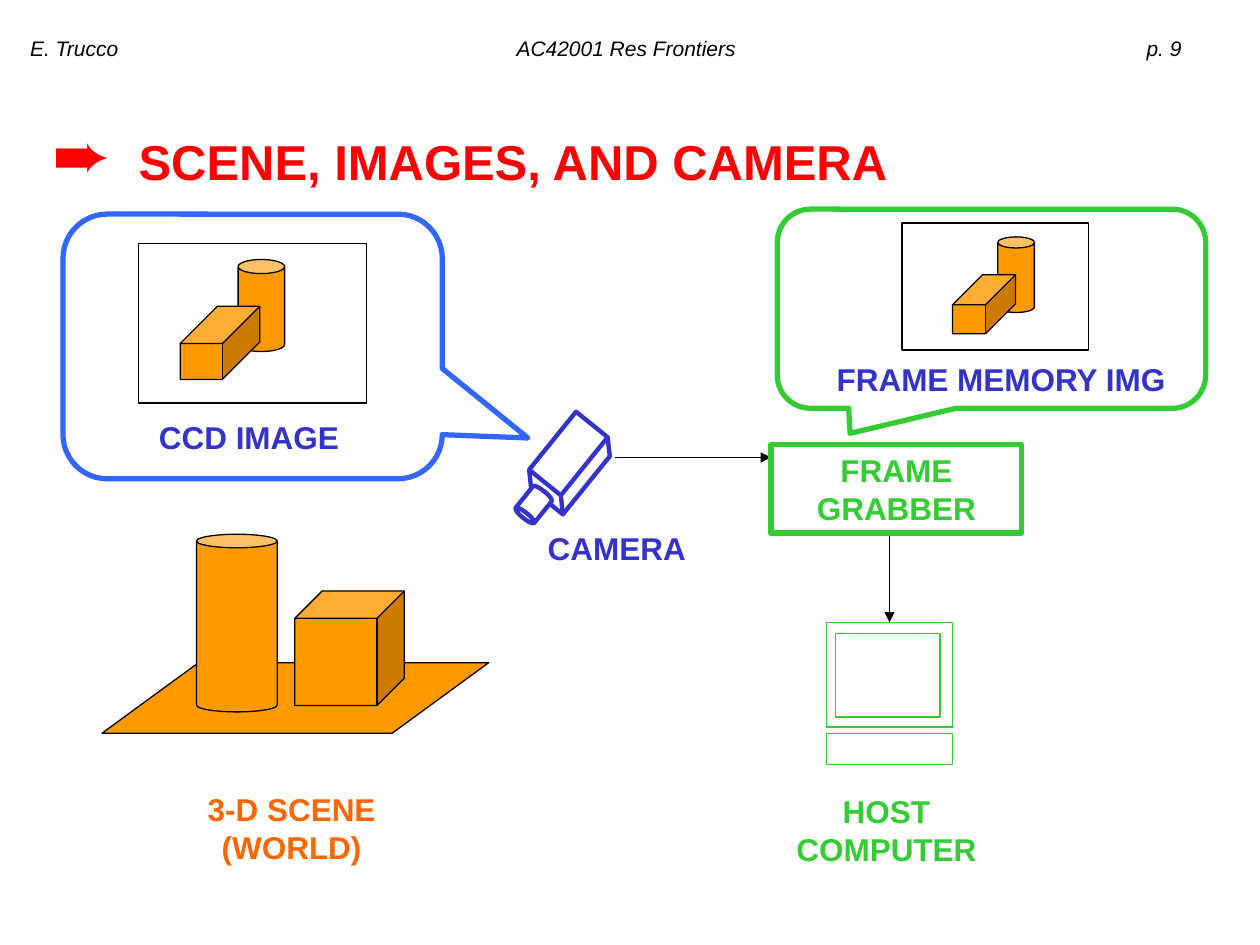
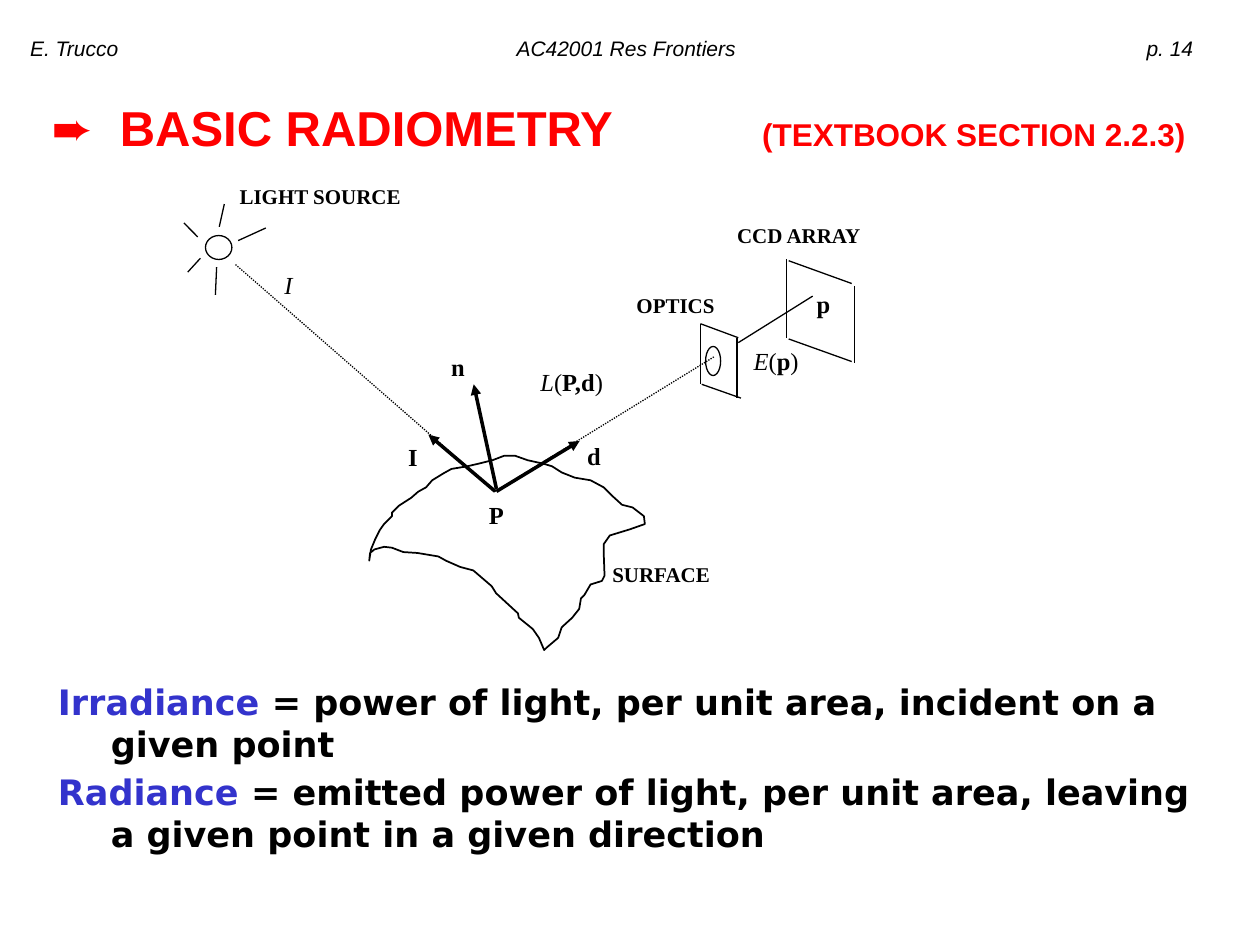
"""Build two lecture slides: the imaging pipeline and basic radiometry."""
from dataclasses import dataclass

from lxml.etree import SubElement
from pptx import Presentation
from pptx.dml.color import RGBColor
from pptx.enum.dml import MSO_LINE_DASH_STYLE as Dash
from pptx.enum.shapes import MSO_CONNECTOR as Connector, MSO_SHAPE as Shape
from pptx.enum.text import MSO_ANCHOR as Anchor, MSO_AUTO_SIZE as AutoSize, PP_ALIGN as Align
from pptx.oxml.ns import qn
from pptx.util import Pt


@dataclass(frozen=True)
class Theme:
    black: str = "000000"
    white: str = "FFFFFF"
    red: str = "FF0000"
    orange: str = "FF9900"
    dark_orange: str = "FF6600"
    green: str = "33CC33"
    blue: str = "3366FF"
    indigo: str = "3333CC"
    sans: str = "Arial"
    body_font: str = "DejaVu Sans"
    serif: str = "Times New Roman"
    title_size: float = 28
    arrow_size: float = 40
    body_size: float = 20
    label_size: float = 18
    symbol_size: float = 14
    small_size: float = 12
    line_height: float = 1.2
    hairline: float = 0.75
    thick: float = 3


theme = Theme()


def paint(shape, fill=None, line=None, width=theme.hairline):
    """Give a shape its fill and outline, and no shadow."""
    shape.shadow.inherit = False
    if fill:
        shape.fill.solid()
        shape.fill.fore_color.rgb = RGBColor.from_string(fill)
    else:
        shape.fill.background()
    if line:
        shape.line.color.rgb = RGBColor.from_string(line)
        shape.line.width = Pt(width)
    else:
        shape.line.fill.background()


def write(paragraph, texts, size, font, color, line_size=None, tabs=()):
    """Fill a paragraph with runs and set the format they share."""
    paragraph.line_spacing = Pt((line_size or size) * theme.line_height)
    paragraph.space_before = Pt(0)
    properties = paragraph._p.get_or_add_pPr()
    SubElement(properties, qn("a:buNone"))
    if tabs:
        tab_list = SubElement(properties, qn("a:tabLst"))
        for position in tabs:
            SubElement(tab_list, qn("a:tab"), pos=str(Pt(position)), algn="l")
    paragraph.font.size = Pt(size)
    paragraph.font.name = font
    paragraph.font.color.rgb = RGBColor.from_string(color)
    for text in texts:
        paragraph.add_run().text = text


presentation = Presentation()
presentation.slide_width, presentation.slide_height = Pt(720), Pt(540)
camera_slide = presentation.slides.add_slide(presentation.slide_layouts[5])
radiometry_slide = presentation.slides.add_slide(presentation.slide_layouts[1])

headings = [
    (camera_slide, 9, (30.2, 63, 612, 48), (49,),
     [("➨", theme.arrow_size), ("\tSCENE, IMAGES, AND CAMERA", theme.title_size)]),
    (radiometry_slide, 14, (29.5, 55.8, 652, 34), (39, 406),
     [("➨\tBASIC RADIOMETRY\t", theme.title_size),
      ("(TEXTBOOK SECTION 2.2.3)", theme.label_size)]),
]
for slide, page, box, tabs, runs in headings:
    header = slide.shapes.add_textbox(Pt(0), Pt(17), Pt(720), Pt(36)).text_frame
    header.word_wrap = True
    header.margin_left = Pt(17.2)
    paragraph = header.paragraphs[0]
    write(paragraph, [f"E. Trucco\tAC42001 Res Frontiers\tp. {page}"],
          theme.small_size, theme.sans, theme.black, tabs=(278, 638))
    paragraph.font.italic = True

    title = slide.shapes.title
    title.left, title.top, title.width, title.height = map(Pt, box)
    frame = title.text_frame
    frame.margin_left = frame.margin_top = frame.margin_right = frame.margin_bottom = 0
    frame.auto_size = AutoSize.NONE
    frame.vertical_anchor = Anchor.MIDDLE
    paragraph = frame.paragraphs[0]
    paragraph.alignment = Align.LEFT
    write(paragraph, [text for text, _ in runs], theme.title_size, theme.sans,
          theme.red, line_size=runs[0][1], tabs=tabs)
    paragraph.font.bold = True
    for run, (_, size) in zip(paragraph.runs, runs):
        run.font.size = Pt(size)

solids = [
    (Shape.PARALLELOGRAM, (58.3, 378.7, 221, 40.3), [1.369]),
    (Shape.CUBE, (168.5, 337.7, 62.6, 65.5), [0.25]),
    (Shape.CAN, (112.3, 305.3, 46.1, 101.5), [0.168]),
    (Shape.CAN, (136.1, 148.3, 26.6, 52.6), [0.303]),
    (Shape.CUBE, (103, 175, 45.4, 41.8), [0.51]),
    (Shape.CAN, (570.2, 135.4, 20.9, 43.2), [0.303]),
    (Shape.CUBE, (544.3, 157, 36, 33.8), [0.51]),
]
outlines = [
    (Shape.ROUNDED_RECTANGULAR_CALLOUT, (36, 122.4, 216.7, 151.2),
     [0.726, 0.346, 0.167], theme.blue, theme.thick),
    (Shape.ROUNDED_RECTANGULAR_CALLOUT, (444.2, 119.5, 244.8, 113.8),
     [-0.33, 0.626, 0.167], theme.green, theme.thick),
    (Shape.RECTANGLE, (79.2, 139, 130.3, 91.4), [], theme.black, theme.hairline),
    (Shape.RECTANGLE, (515.5, 127.4, 106.6, 72.7), [], theme.black, theme.hairline),
    (Shape.RECTANGLE, (472.3, 355.7, 72, 59.8), [], theme.green, theme.hairline),
    (Shape.RECTANGLE, (477.4, 362.2, 59.8, 47.5), [], theme.green, theme.hairline),
    (Shape.RECTANGLE, (472.3, 419, 72, 18), [], theme.green, theme.hairline),
]
camera_parts = [
    (Shape.CUBE, (300.2, 249.1, 50.4, 31), 128.9, None),
    (Shape.CAN, (298.1, 278.6, 13.7, 19.4), 218.9, theme.white),
]
drawings = [(*outline[:3], None, *outline[3:], 0) for outline in outlines]
drawings += [(*solid, theme.orange, theme.black, theme.hairline, 0) for solid in solids]
drawings += [(kind, box, [0.25], fill, theme.indigo, 2.5, rotation)
             for kind, box, rotation, fill in camera_parts]
for kind, box, adjustments, fill, line, width, rotation in drawings:
    shape = camera_slide.shapes.add_shape(kind, *map(Pt, box))
    paint(shape, fill, line, width)
    shape.rotation = rotation
    for index, value in enumerate(adjustments):
        shape.adjustments[index] = value

surface_points = [
    (211, 320.4), (212, 314), (214.5, 308), (217, 303), (219.5, 299.5), (224, 295),
    (224, 293), (228, 289), (235, 284.5), (239, 281), (243.5, 278.5), (247, 274.5),
    (253.5, 270.5), (258, 268), (267, 266.5), (273.5, 265), (281.5, 263),
    (288, 260.5), (294.5, 260.5), (301.5, 263), (310.5, 265), (315.5, 266.5),
    (321, 270), (328.5, 273), (337.5, 274.5), (345, 278.5), (350, 283.5),
    (355.5, 288.5), (361.5, 290), (368, 295), (368.5, 299.5), (360, 302.5),
    (348.5, 306), (345, 311), (345, 316), (345.5, 329), (344, 332), (337.5, 334),
    (334, 340), (332, 342), (331, 348), (327, 353), (321, 358.5), (319, 364.5),
    (312.5, 370), (311, 371.5), (308, 364.5), (304.5, 359.5), (296.5, 353),
    (296, 350.5), (283.5, 339), (281, 335), (270.5, 326), (263, 324),
    (255, 320.5), (250.5, 318), (238.5, 316), (230.5, 315.5), (224, 313),
    (219.5, 312.5), (214, 314), (211.5, 316),
]
surface_points = [(Pt(x), Pt(y)) for x, y in surface_points]
builder = radiometry_slide.shapes.build_freeform(*surface_points[0])
builder.add_line_segments(surface_points[1:], close=True)
paint(builder.convert_to_shape(), theme.white, theme.black, 1)
for box in [(117.4, 134.6, 15.1, 13.7), (403.2, 198, 8.6, 16.6)]:
    ellipse = radiometry_slide.shapes.add_shape(Shape.OVAL, *map(Pt, box))
    paint(ellipse, theme.white, theme.black)

thin_lines = [
    (421.9, 195.8, 464.4, 169.2),
    (128.2, 116.6, 125.3, 129.6), (123.8, 152.6, 123.1, 168.5),
    (136.1, 137.5, 151.9, 130.3), (113, 135.4, 105.1, 127.4),
    (114.5, 147.6, 107.3, 155.5),
    (400.3, 185, 421.9, 193), (400.3, 185, 400.3, 219.6),
    (421.2, 193, 421.2, 227.5), (401, 219.6, 423.4, 227.5),
    (450.7, 149, 486.7, 162), (488.2, 163.4, 488.2, 207.4),
    (486.7, 206.6, 450.7, 193.7), (449.3, 193, 449.3, 148.3),
]
dotted_lines = [(134.6, 151.2, 283, 280.8), (283, 280.8, 408.2, 203.8)]
vectors = [
    (283.7, 279.4, 270.7, 219.6), (283, 280.8, 244.8, 248.4), (283.7, 280.8, 331.2, 252),
]
signal_arrows = [(351.4, 261.4, 440.6, 261.4), (508.3, 305.3, 508.3, 355.7)]
line_groups = [
    (camera_slide, signal_arrows, theme.hairline, None, True),
    (radiometry_slide, thin_lines, theme.hairline, None, False),
    (radiometry_slide, dotted_lines, theme.hairline, Dash.ROUND_DOT, False),
    (radiometry_slide, vectors, 2, None, True),
]
for slide, lines, width, dash, has_arrow in line_groups:
    for ends in lines:
        connector = slide.shapes.add_connector(Connector.STRAIGHT, *map(Pt, ends))
        connector.line.color.rgb = RGBColor.from_string(theme.black)
        connector.line.width = Pt(width)
        if dash:
            connector.line.dash_style = dash
        properties = connector._element.spPr
        if has_arrow:
            SubElement(properties.find(qn("a:ln")), qn("a:tailEnd"), type="triangle")
        SubElement(properties, qn("a:effectLst"))

frame_grabber = camera_slide.shapes.add_shape(
    Shape.RECTANGLE, Pt(440.6), Pt(254.2), Pt(143.3), Pt(50.4))
paint(frame_grabber, line=theme.green, width=theme.thick)
captions = [(frame_grabber, "FRAME GRABBER", theme.green)]
for box, text, color in [
    ((95, 447.8, 143.3, 50.4), "3-D SCENE (WORLD)", theme.dark_orange),
    ((280.8, 298.8, 143.3, 28.8), "CAMERA", theme.indigo),
    ((434.9, 449.3, 143.3, 50.4), "HOST COMPUTER", theme.green),
    ((70.6, 235.4, 143.3, 28.8), "CCD IMAGE", theme.indigo),
    ((449.3, 202.3, 245.5, 28.8), "FRAME MEMORY IMG", theme.indigo),
]:
    captions.append((camera_slide.shapes.add_textbox(*map(Pt, box)), text, color))
for holder, text, color in captions:
    frame = holder.text_frame
    frame.word_wrap = True
    frame.vertical_anchor = Anchor.TOP
    paragraph = frame.paragraphs[0]
    paragraph.alignment = Align.CENTER
    write(paragraph, [text], theme.label_size, theme.sans, color)
    paragraph.font.bold = True

symbols = [
    ((279.4, 285.8, 11.5), [("P", "bold")]),
    ((257.8, 200.9, 12.2), [("n", "bold")]),
    ((466.6, 164.9, 11.5), [("p", "bold")]),
    ((233.3, 252.7, 9.4), [("I", "bold")]),
    ((335.5, 252, 10.8), [("d", "bold")]),
    ((162.6, 154.1, 8), [("I", "italic")]),
    ((308.8, 209.5, 43), [("L", "italic"), ("(", ""), ("P,d", "bold"), (")", "")]),
    ((430.6, 198, 29.5), [("E", "italic"), ("(", ""), ("p", "bold"), (")", "")]),
]
part_names = [
    ((363.7, 167, 50), "OPTICS"), ((421.2, 127.4, 75), "CCD ARRAY"),
    ((136.9, 105.1, 96), "LIGHT SOURCE"), ((349.9, 321.1, 67), "SURFACE"),
]
labels = [(*symbol, theme.symbol_size) for symbol in symbols]
labels += [(place, [(name, "bold")], theme.small_size) for place, name in part_names]
for place, runs, size in labels:
    label = radiometry_slide.shapes.add_shape(Shape.RECTANGLE, *map(Pt, (*place, 16.6)))
    paint(label, theme.white)
    frame = label.text_frame
    frame.margin_left = frame.margin_top = frame.margin_right = frame.margin_bottom = 0
    frame.word_wrap = True
    frame.vertical_anchor = Anchor.TOP
    paragraph = frame.paragraphs[0]
    paragraph.alignment = Align.LEFT
    write(paragraph, [text for text, _ in runs], size, theme.serif, theme.black)
    for run, (_, style) in zip(paragraph.runs, runs):
        run.font.bold = style == "bold"
        run.font.italic = style == "italic"

body = radiometry_slide.placeholders[1]
body.left, body.top, body.width, body.height = map(Pt, (25.9, 385.2, 670.3, 134.6))
frame = body.text_frame
frame.auto_size = AutoSize.NONE
definitions = [
    ("Irradiance", " = power of light, per unit area, incident on a given point"),
    ("Radiance", " = emitted power of light, per unit area, leaving a given point"
                 " in a given direction"),
]
for index, definition in enumerate(definitions):
    paragraph = frame.add_paragraph() if index else frame.paragraphs[0]
    write(paragraph, definition, theme.body_size, theme.body_font, theme.black)
    paragraph.space_before = Pt(3.7 if index else 0)
    paragraph.font.bold = True
    paragraph.runs[0].font.color.rgb = RGBColor.from_string(theme.indigo)
    properties = paragraph._p.get_or_add_pPr()
    properties.set("marL", str(Pt(30.2)))
    properties.set("indent", str(Pt(-30.2)))

presentation.save("out.pptx")
